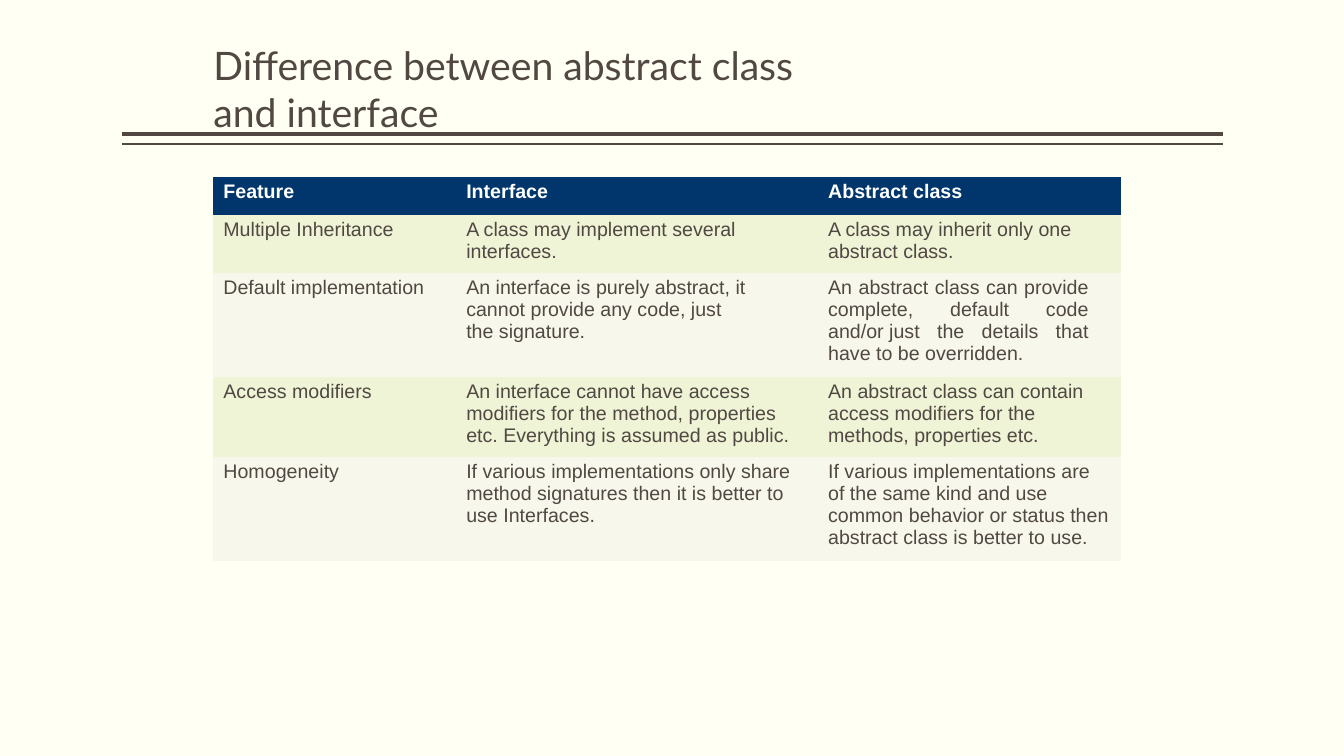
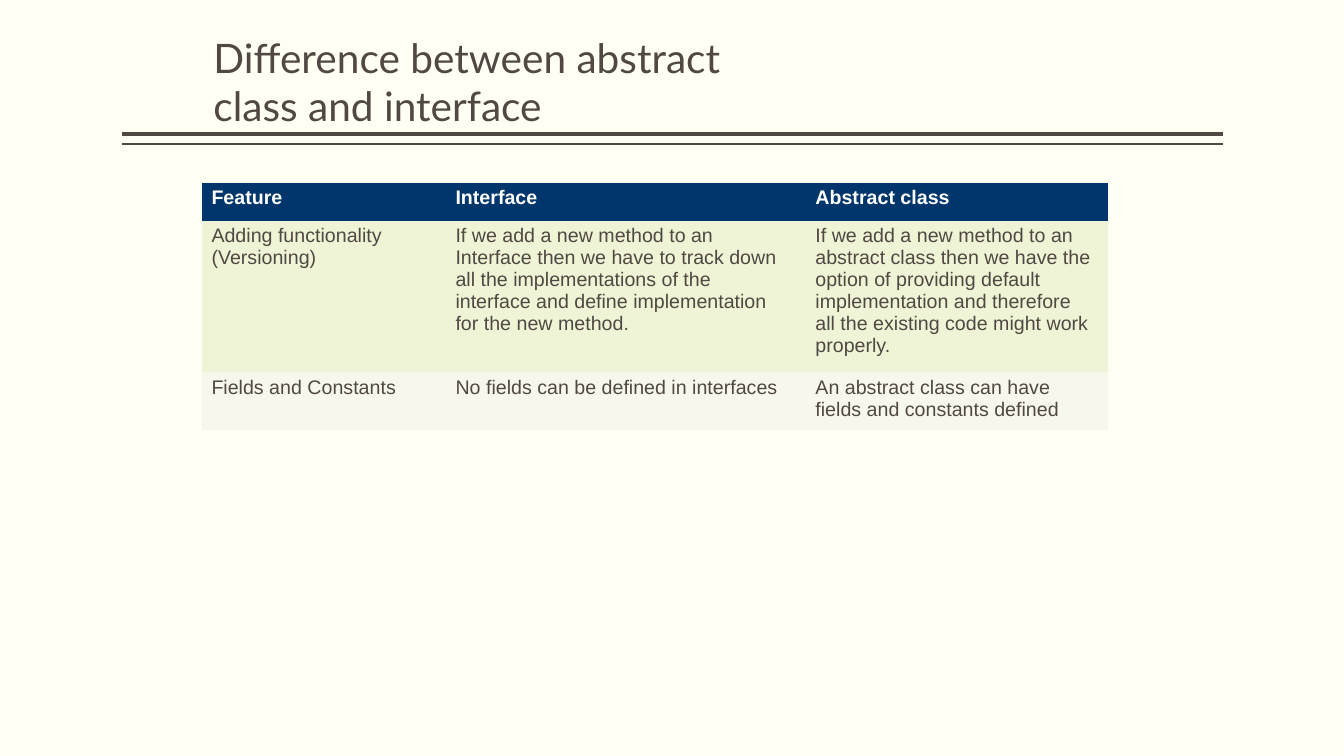
from dataclasses import dataclass

from lxml import etree
from pptx import Presentation
from pptx import util as u
from pptx.dml.color import RGBColor
from pptx.enum import shapes, text
from pptx.oxml import ns


@dataclass(frozen=True)
class Theme:
    background: RGBColor = RGBColor.from_string("FFFFF3")
    ink: RGBColor = RGBColor.from_string("514843")
    header_fill: RGBColor = RGBColor.from_string("00366B")
    header_ink: RGBColor = RGBColor.from_string("FFFFFF")
    bands: tuple = (RGBColor.from_string("EEF4D5"), RGBColor.from_string("F7F8EB"))
    title_font: str = "Lato"
    body_font: str = "Arial"
    body_size: u.Pt = u.Pt(14)


@dataclass(frozen=True)
class Grid:
    """Table geometry in centimetres; insets are (left, right) per column."""
    left: float
    top: float
    columns: tuple
    rows: tuple
    insets: tuple


THEME = Theme()
TITLE = "Difference between abstract class and interface"
HEADER = ("Feature", "Interface", "Abstract class")
NO_GRID_STYLE = "{2D5ABB26-0587-4C30-8999-92F81FD0307C}"
JUSTIFIED_RIGHT_INSET = u.Cm(0.8)

# "~" stands for a space at which a line must not wrap.
BASICS = (
    ("Multiple Inheritance",
     "A class may implement several interfaces.",
     "A class may inherit only one abstract class."),
    ("Default implementation",
     "An interface is purely abstract, it cannot provide any code, "
     "just the~signature.",
     "An abstract class can provide complete, default code and/or~just "
     "the details that have to be overridden."),
    ("Access modifiers",
     "An interface cannot have access modifiers for the method, properties "
     "etc. Everything is assumed as public.",
     "An abstract class can contain access modifiers for the "
     "methods,~properties etc."),
    ("Homogeneity",
     "If various implementations only share method signatures then it is "
     "better to use Interfaces.",
     "If various implementations are of~the same kind and use common "
     "behavior or status then abstract class is better to use."),
)
EVOLUTION = (
    ("Adding functionality\n(Versioning)",
     "If we add a new method to an Interface then we have to track down all "
     "the implementations of the interface and define implementation for the "
     "new method.",
     "If we add a new method to an abstract class then we have the option of "
     "providing default implementation and therefore all~the existing code "
     "might work properly."),
    ("Fields and Constants",
     "No fields can be defined in interfaces",
     "An abstract class can have\nfields and constants defined"),
)

BASICS_GRID = Grid(5.38, 4.45, (5.84, 9.17, 7.85), (0.97, 1.45, 2.62, 2.03, 2.62),
                   ((0.25, 0), (0.53, 0.3), (0.48, 0.2)))
EVOLUTION_GRID = Grid(5.08, 4.6, (5.64, 9.55, 7.65), (0.97, 3.81, 1.45),
                      ((0.25, 0), (0.76, 0.6), (0.28, 0.2)))


def style_font(paragraph, name, size, color, bold=False):
    font = paragraph.font
    font.name, font.size, font.bold = name, size, bold
    font.color.rgb = color


def add_rule(slide, y, weight):
    rule = slide.shapes.add_connector(shapes.MSO_CONNECTOR.STRAIGHT,
                                      u.Cm(3.07), u.Cm(y), u.Cm(30.81), u.Cm(y))
    rule.line.color.rgb = THEME.ink
    rule.line.width = u.Pt(weight)
    properties = rule.element.find(ns.qn("p:spPr"))
    etree.SubElement(properties, ns.qn("a:effectLst"))


def add_title(slide, top, width, height, size):
    box = slide.shapes.add_textbox(u.Cm(5.38), u.Cm(top), u.Cm(width), u.Cm(height))
    frame = box.text_frame
    frame.word_wrap = True
    frame.vertical_anchor = text.MSO_ANCHOR.BOTTOM
    frame.margin_left = frame.margin_right = frame.margin_bottom = 0
    frame.margin_top = u.Cm(0.03)
    frame.text = TITLE
    style_font(frame.paragraphs[0], THEME.title_font, u.Pt(size), THEME.ink)


def fill_cell(cell, content, inset, fill, color, bold):
    cell.text = content.replace("~", chr(160))
    cell.fill.solid()
    cell.fill.fore_color.rgb = fill
    cell.margin_left, cell.margin_right = map(u.Cm, inset)
    cell.margin_top, cell.margin_bottom = u.Cm(0.1), 0
    for paragraph in cell.text_frame.paragraphs:
        style_font(paragraph, THEME.body_font, THEME.body_size, color, bold)
    cell.text_frame.paragraphs[0].space_before = u.Pt(3.1)


def add_comparison(slide, grid, body):
    """Add a header row and banded body rows; return the table."""
    records = (HEADER, *body)
    frame = slide.shapes.add_table(
        len(records), len(HEADER), u.Cm(grid.left), u.Cm(grid.top),
        u.Cm(sum(grid.columns)), u.Cm(sum(grid.rows)))
    next(frame.element.iter(ns.qn("a:tableStyleId"))).text = NO_GRID_STYLE
    table = frame.table
    table.horz_banding = False
    for column, width in zip(table.columns, grid.columns):
        column.width = u.Cm(width)
    for index, (row, height, record) in enumerate(zip(table.rows, grid.rows, records)):
        row.height = u.Cm(height)
        is_header = index == 0
        fill = THEME.header_fill if is_header else THEME.bands[(index - 1) % 2]
        color = THEME.header_ink if is_header else THEME.ink
        for cell, content, inset in zip(row.cells, record, grid.insets):
            fill_cell(cell, content, inset, fill, color, is_header)
    return table


def justify(cell):
    cell.margin_right = JUSTIFIED_RIGHT_INSET
    for paragraph in cell.text_frame.paragraphs:
        paragraph.alignment = text.PP_ALIGN.JUSTIFY


def add_base_slide(presentation):
    """Add a blank slide with the double rule under the title."""
    slide = presentation.slides.add_slide(presentation.slide_layouts[6])
    add_rule(slide, 3.38, 3)
    add_rule(slide, 3.63, 1)
    return slide


def main():
    presentation = Presentation()
    presentation.slide_width, presentation.slide_height = u.Cm(33.87), u.Cm(19.05)
    background = presentation.slide_master.background.fill
    background.solid()
    background.fore_color.rgb = THEME.background

    slide = add_base_slide(presentation)
    add_title(slide, 0.97, 15.8, 2.44, 28)
    table = add_comparison(slide, BASICS_GRID, BASICS)
    justify(table.cell(2, 2))

    slide = add_base_slide(presentation)
    add_title(slide, 0.74, 14.7, 2.54, 29)
    add_comparison(slide, EVOLUTION_GRID, EVOLUTION)

    presentation.save("out.pptx")


if __name__ == "__main__":
    main()
